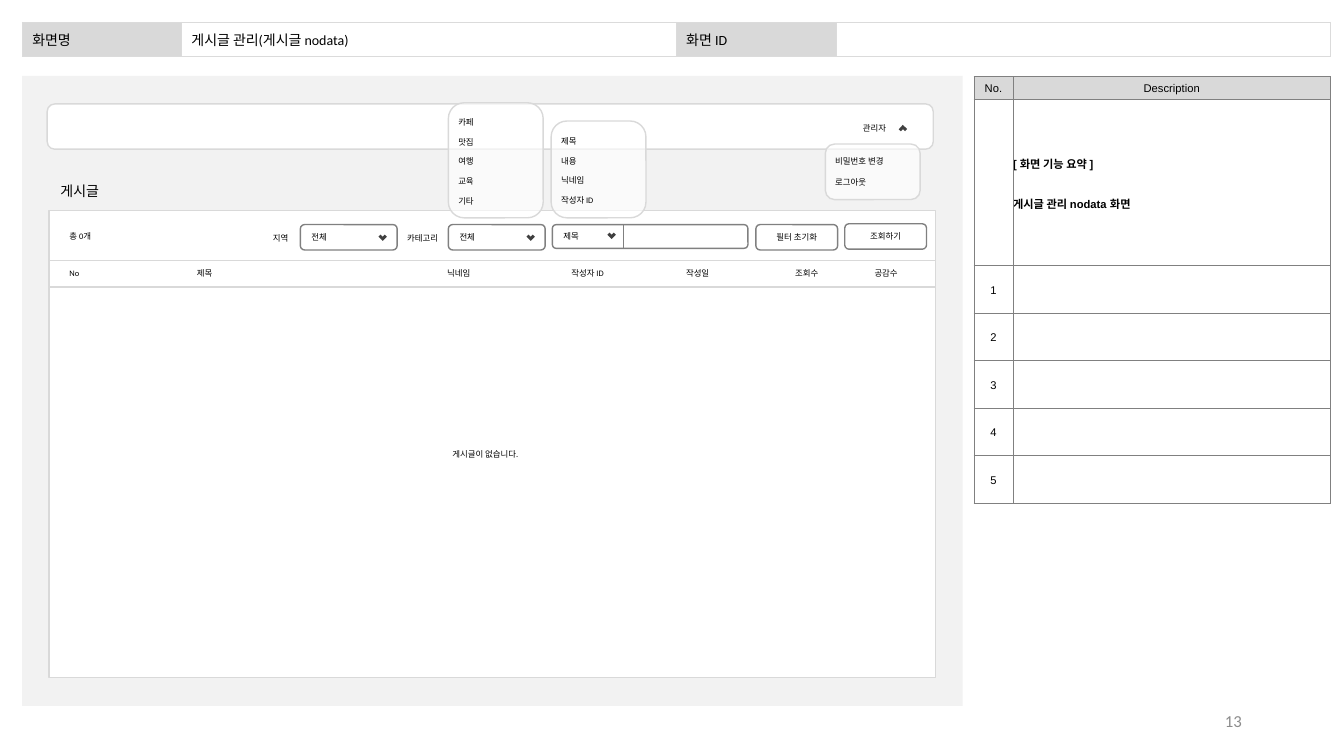
from dataclasses import dataclass

from lxml.etree import SubElement
from pptx import Presentation
from pptx.dml.color import RGBColor
from pptx.enum.shapes import MSO_CONNECTOR, MSO_SHAPE
from pptx.enum.text import MSO_ANCHOR, MSO_AUTO_SIZE, PP_ALIGN
from pptx.oxml import parse_xml
from pptx.oxml.ns import nsdecls, qn
from pptx.util import Cm, Pt


@dataclass(frozen=True)
class Theme:
    font: str = "Calibri"
    table_font: str = "Arial"
    black: str = "000000"
    white: str = "FFFFFF"
    panel: str = "F2F2F2"
    header: str = "D9D9D9"
    header_border: str = "DBDBDB"
    control: str = "808080"
    icon: str = "404040"
    page: str = "8C8C8C"
    label_size: float = 6
    table_size: float = 8
    title_size: float = 10
    page_size: float = 12
    line_width: float = 1
    menu_opacity: int = 64000


class Wireframe:
    def __init__(self, slide, theme):
        self.slide = slide
        self.theme = theme

    def format_text(self, frame, size, color=None, align=PP_ALIGN.LEFT, font=None, bold=False):
        for paragraph in frame.paragraphs:
            paragraph.alignment = align
            for run in paragraph.runs:
                run.font.size = Pt(size)
                run.font.name = font or self.theme.font
                run.font.bold = bold
                run.font.color.rgb = RGBColor.from_string(color or self.theme.black)

    def title(self, text, left, top, width, height):
        title = self.slide.shapes.title
        title.left, title.top, title.width, title.height = map(Cm, (left, top, width, height))
        frame = title.text_frame
        frame.text = text
        frame.auto_size = MSO_AUTO_SIZE.NONE
        frame.vertical_anchor = MSO_ANCHOR.TOP
        self.format_text(frame, self.theme.title_size)
        title.element.getparent().append(title.element)

    def text(self, text, left, top, width=2.44, height=0.51, align=PP_ALIGN.LEFT,
             size=None, color=None, anchor=MSO_ANCHOR.TOP):
        box = self.slide.shapes.add_textbox(Cm(left), Cm(top), Cm(width), Cm(height))
        frame = box.text_frame
        frame.word_wrap = True
        frame.vertical_anchor = anchor
        frame.text = text
        self.format_text(frame, size or self.theme.label_size, color, align)

    def shape(self, kind, left, top, width, height, fill, line=None, text="", align=PP_ALIGN.CENTER):
        shape = self.slide.shapes.add_shape(kind, Cm(left), Cm(top), Cm(width), Cm(height))
        shape.shadow.inherit = False
        shape.fill.solid()
        shape.fill.fore_color.rgb = RGBColor.from_string(fill)
        if line:
            shape.line.color.rgb = RGBColor.from_string(line)
            shape.line.width = Pt(self.theme.line_width)
        else:
            shape.line.fill.background()
        if text:
            frame = shape.text_frame
            frame.text = text
            frame.vertical_anchor = MSO_ANCHOR.MIDDLE
            self.format_text(frame, self.theme.label_size, align=align)
        return shape

    def control(self, left, top, width, height, text="", align=PP_ALIGN.CENTER):
        self.shape(MSO_SHAPE.ROUNDED_RECTANGLE, left, top, width, height,
                   self.theme.white, self.theme.control, text, align)

    def chevron(self, left, top, rotation=315):
        shape = self.shape(MSO_SHAPE.CORNER, left, top, 0.15, 0.15, self.theme.icon)
        shape.rotation = rotation

    def dropdown(self, label, label_gap, left):
        self.text(label, left - label_gap, 5.74, 1.42)
        self.control(left, 5.66, 2.44, 0.64, "전체", PP_ALIGN.LEFT)
        self.chevron(left + 2, 5.89)

    def menu(self, items, left, top, height, first_item, pitch):
        menu = self.shape(MSO_SHAPE.ROUNDED_RECTANGLE, left, top, 2.39, height,
                          self.theme.white, self.theme.header)
        color = menu.element.spPr.find(qn("a:solidFill"))[0]
        SubElement(color, qn("a:alpha"), val=str(self.theme.menu_opacity))
        for index, item in enumerate(items):
            self.text(item, left, first_item + index * pitch, 2.39)

    def line(self, start_x, start_y, end_x, end_y, color):
        line = self.slide.shapes.add_connector(
            MSO_CONNECTOR.STRAIGHT, Cm(start_x), Cm(start_y), Cm(end_x), Cm(end_y))
        line.line.color.rgb = RGBColor.from_string(color)
        line.line.width = Pt(self.theme.line_width)
        SubElement(line.element.spPr, qn("a:effectLst"))

    def table(self, left, top, widths, heights):
        frame = self.slide.shapes.add_table(len(heights), len(widths), Cm(left), Cm(top),
                                            Cm(sum(widths)), Cm(sum(heights)))
        table = frame.table
        table.first_row = table.horz_banding = False
        for column, width in zip(table.columns, widths):
            column.width = Cm(width)
        for row, height in zip(table.rows, heights):
            row.height = Cm(height)
        return table

    def cell(self, cell, text, fill, border, border_width, size, font,
             align=PP_ALIGN.LEFT, bold=False, margin=None, spacing=None):
        frame = cell.text_frame
        frame.text = text
        cell.vertical_anchor = MSO_ANCHOR.MIDDLE
        cell.fill.solid()
        cell.fill.fore_color.rgb = RGBColor.from_string(fill)
        if margin is not None:
            cell.margin_left = cell.margin_right = cell.margin_top = cell.margin_bottom = Cm(margin)
        self.format_text(frame, size, align=align, font=font, bold=bold)
        for paragraph in frame.paragraphs:
            paragraph.line_spacing = spacing
        if not text:
            SubElement(frame.paragraphs[0]._p, qn("a:endParaRPr"), sz=str(size * 100))
        properties = cell._tc.get_or_add_tcPr()
        for position, side in enumerate("LRTB"):
            properties.insert(position, parse_xml(
                f'<a:ln{side} {nsdecls("a")} w="{Pt(border_width)}"><a:solidFill>'
                f'<a:srgbClr val="{border}"/></a:solidFill></a:ln{side}>'))

    def header_table(self, texts):
        theme = self.theme
        table = self.table(0.56, 0.56, (4.01, 12.47, 4.04, 12.45), (0.86,))
        for index, text in enumerate(texts):
            fill = theme.white if index % 2 else theme.header
            self.cell(table.cell(0, index), text, fill, theme.header_border, 0.75,
                      theme.title_size, theme.font)

    def description_table(self, rows):
        theme = self.theme
        table = self.table(24.54, 1.93, (0.99, 8), (0.56, 4.19) + (1.2,) * 5)
        for row_index, row in enumerate(rows):
            for column_index, text in enumerate(row):
                summary = row_index == 1
                self.cell(table.cell(row_index, column_index), text,
                          theme.white if row_index else theme.header, theme.control, 0.25,
                          theme.table_size, theme.table_font,
                          PP_ALIGN.LEFT if summary else PP_ALIGN.CENTER, summary, 0, 1.2)
        table.cell(1, 1).text_frame.paragraphs[0].space_after = Pt(14)


presentation = Presentation()
presentation.slide_width, presentation.slide_height = Cm(33.87), Cm(19.05)
theme = Theme()
wireframe = Wireframe(presentation.slides.add_slide(presentation.slide_layouts[5]), theme)

wireframe.shape(MSO_SHAPE.RECTANGLE, 0.56, 1.91, 23.7, 15.88, theme.panel)
wireframe.text("13", 23.93, 17.65, 7.62, 1.02, PP_ALIGN.RIGHT,
               theme.page_size, theme.page, MSO_ANCHOR.MIDDLE)
wireframe.header_table(("화면명", "게시글 관리(게시글 nodata)", "화면 ID", ""))
wireframe.description_table(
    [("No.", "Description"), ("", "[ 화면 기능 요약 ]\n게시글 관리 nodata 화면")]
    + [(str(number), "") for number in range(1, 6)])

wireframe.shape(MSO_SHAPE.RECTANGLE, 1.24, 5.31, 22.33, 11.76, theme.white, theme.header)
for line_top in (6.57, 7.23):
    wireframe.line(1.24, line_top, 23.6, line_top, theme.header)
wireframe.text("총 0개", 1.5, 5.69)
wireframe.text("제목", 4.01, 6.63, 2.29, align=PP_ALIGN.CENTER)
for heading, left in (("No", 1.5), ("닉네임", 11.02), ("작성자 ID", 14.15),
                      ("작성일", 17.04), ("조회수", 19.79), ("공감수", 21.79)):
    wireframe.text(heading, left, 6.63)
wireframe.text("게시글이 없습니다.", 10.87, 11.18, 2.72, align=PP_ALIGN.CENTER)

wireframe.dropdown("지역", 0.94, 7.57)
wireframe.dropdown("카테고리", 1.29, 11.3)
wireframe.control(13.92, 5.66, 4.93, 0.6, "제목", PP_ALIGN.LEFT)
wireframe.chevron(15.34, 5.84)
wireframe.line(15.72, 5.66, 15.72, 6.26, theme.control)
for caption, left, top in (("필터 초기화", 19.05, 5.66), ("조회하기", 21.29, 5.64)):
    wireframe.control(left, top, 2.06, 0.64, caption)

wireframe.shape(MSO_SHAPE.ROUNDED_RECTANGLE, 1.19, 2.62, 22.33, 1.14, theme.white, theme.header)
wireframe.text("관리자", 21.01, 2.97, 2.06, align=PP_ALIGN.CENTER)
wireframe.chevron(22.68, 3.18, 132.5)
wireframe.title("게시글", 1.27, 4.47, 3.28, 0.69)
wireframe.menu(("비밀번호 변경", "로그아웃"), 20.8, 3.63, 1.4, 3.81, 0.53)
wireframe.menu(("제목", "내용", "닉네임", "작성자 ID"), 13.89, 3.05, 2.44, 3.3, 0.5)
wireframe.menu(("카페", "맛집", "여행", "교육", "기타"), 11.3, 2.59, 2.9, 2.82, 0.5)

presentation.save("out.pptx")
